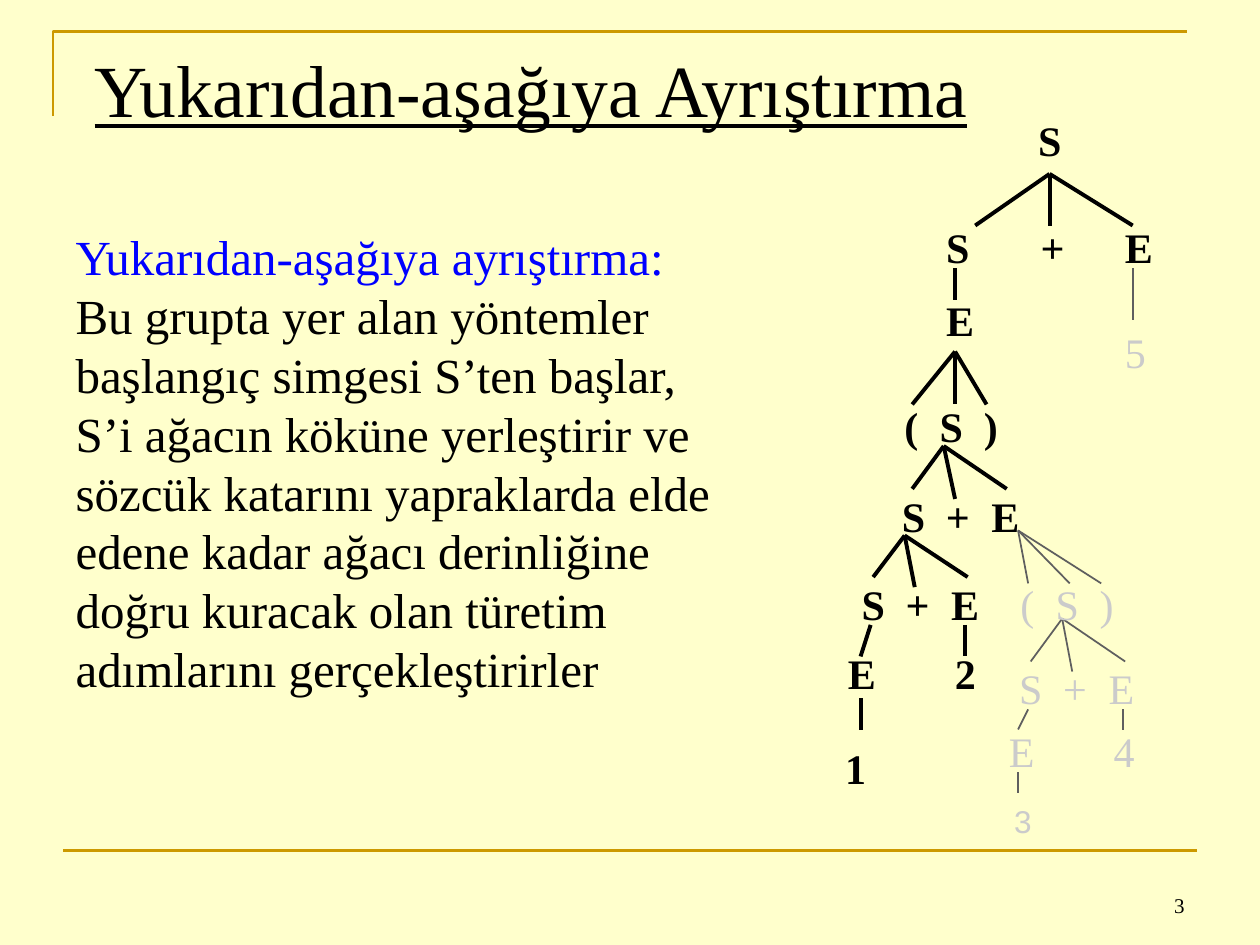
"""Build a slide on top-down parsing with its partly grown parse tree."""
from lxml import etree
from pptx import Presentation
from pptx.dml.color import RGBColor
from pptx.enum.shapes import MSO_CONNECTOR
from pptx.enum.text import MSO_ANCHOR, MSO_AUTO_SIZE, PP_ALIGN
from pptx.oxml.ns import qn
from pptx.util import Inches, Pt

STRAIGHT = MSO_CONNECTOR.STRAIGHT
LEFT, RIGHT = PP_ALIGN.LEFT, PP_ALIGN.RIGHT
TOP, BOTTOM = MSO_ANCHOR.TOP, MSO_ANCHOR.BOTTOM
FIXED = MSO_AUTO_SIZE.NONE

COLORS = {
    "paper": "FFFFCC", "rule": "CC9900", "ink": "000000", "term": "0000FF",
    "pending": "CBCBCB", "pending_branch": "5F5F5F",
}
SERIF = "Times New Roman"
TITLE = {"name": SERIF, "size": Pt(42), "underline": True}
BODY = {"name": SERIF, "size": Pt(28)}
NUMBER = {"name": SERIF, "size": Pt(12)}
GROWN = {"name": SERIF, "size": Pt(24), "bold": True}
PENDING = {"name": SERIF, "size": Pt(24), "bold": False}
LAST_LEAF = {"name": "Arial", "size": Pt(18), "bold": False}

PARENTHESES, SUM = "(\tS\t)", "S\t+\tE"
TAB_STOPS = {PARENTHESES: (0.28, 0.63), SUM: (0.35, 0.71)}

GROWN_NODES = [
    ("S", 8.14, 0.86, 0.4),
    ("S", 7.41, 1.71, 0.38), ("+", 8.16, 1.71, 0.39), ("E", 8.83, 1.71, 0.42),
    ("E", 7.41, 2.29, 0.42),
    (PARENTHESES, 7.08, 3.13, 0.94),
    (SUM, 7.06, 3.84, 1.13),
    (SUM, 6.74, 4.54, 1.13),
    ("E", 6.63, 5.09, 0.42), ("2", 7.48, 5.09, 0.36),
    ("1", 6.61, 5.84, 0.36),
]
PENDING_NODES = [
    ("5", 8.83, 2.54, 0.36),
    (PARENTHESES, 8, 4.54, 0.94),
    (SUM, 7.99, 5.21, 1.13),
    ("E", 7.91, 5.71, 0.4), ("4", 8.74, 5.71, 0.36),
]
GROWN_BRANCHES = [
    ((8.33, 1.38), [(7.74, 1.79), (8.33, 1.79), (8.99, 1.79)]),
    ((7.58, 2.13), [(7.58, 2.38)]),
    ((7.58, 2.79), [(7.24, 3.21), (7.58, 3.21), (7.83, 3.21)]),
    ((7.49, 3.54), [(7.24, 3.88), (7.58, 3.96), (7.99, 3.88)]),
    ((7.18, 4.25), [(6.93, 4.58), (7.26, 4.66), (7.68, 4.58)]),
    ((6.91, 4.96), [(6.83, 5.21)]),
    ((7.66, 4.96), [(7.66, 5.21)]),
    ((6.83, 5.54), [(6.83, 5.79)]),
]
PENDING_BRANCHES = [
    ((8.99, 2.13), [(8.99, 2.54)]),
    ((8.08, 4.21), [(8.16, 4.63), (8.49, 4.63), (8.74, 4.63)]),
    ((8.43, 4.91), [(8.18, 5.25), (8.51, 5.33), (8.93, 5.25)]),
    ((8.16, 5.63), [(8.08, 5.79)]),
    ((8.91, 5.63), [(8.91, 5.79)]),
    ((8.08, 6.13), [(8.08, 6.29)]),
]
TERM = "Yukarıdan-aşağıya ayrıştırma: "
EXPLANATION = (
    "Bu grupta yer alan yöntemler başlangıç simgesi S’ten başlar, S’i ağacın "
    "köküne yerleştirir ve sözcük katarını yapraklarda elde edene kadar ağacı "
    "derinliğine doğru kuracak olan türetim adımlarını gerçekleştirirler"
)


def rgb(color):
    """Return the named colour."""
    return RGBColor.from_string(COLORS[color])


def add_run(paragraph, text, style, color="ink"):
    """Append text in the given style and colour."""
    run = paragraph.add_run()
    run.text = text
    for attribute, value in style.items():
        setattr(run.font, attribute, value)
    run.font.color.rgb = rgb(color)


def set_tabs(paragraph, stops):
    """Give the paragraph left tab stops at the given inches."""
    tabs = etree.SubElement(paragraph._p.get_or_add_pPr(), qn("a:tabLst"))
    for stop in stops:
        etree.SubElement(tabs, qn("a:tab"), pos=str(Inches(stop)), algn="l")


def place(placeholder, left, top, width, height):
    """Move a placeholder and return its first paragraph, left aligned."""
    bounds = {"left": left, "top": top, "width": width, "height": height}
    for attribute, value in bounds.items():
        setattr(placeholder, attribute, Inches(value))
    frame = placeholder.text_frame
    layout = {"auto_size": FIXED, "word_wrap": True, "vertical_anchor": TOP}
    for attribute, value in layout.items():
        setattr(frame, attribute, value)
    paragraph = frame.paragraphs[0]
    paragraph.alignment = LEFT
    paragraph.space_before = Pt(0)
    return paragraph


def add_title(slide):
    """Fill the title placeholder."""
    paragraph = place(slide.shapes.title, 0.5, 0.3, 9, 1.25)
    slide.shapes.title.text_frame.margin_left = Inches(0.25)
    add_run(paragraph, "Yukarıdan-aşağıya Ayrıştırma", TITLE)


def add_body(slide):
    """Fill the body placeholder with the unbulleted definition."""
    paragraph = place(slide.placeholders[1], 0.5, 1.75, 5.28, 6.06)
    properties = paragraph._p.get_or_add_pPr()
    properties.set("marL", "0")
    properties.set("indent", "0")
    etree.SubElement(properties, qn("a:buNone"))
    add_run(paragraph, TERM, BODY, "term")
    add_run(paragraph, EXPLANATION, BODY)


def add_line(slide, start, end, color, width):
    """Draw a straight line without shadow."""
    points = [Inches(value) for value in (*start, *end)]
    line = slide.shapes.add_connector(STRAIGHT, *points)
    line.line.color.rgb = rgb(color)
    line.line.width = Pt(width)
    etree.SubElement(line._element.spPr, qn("a:effectLst"))


def add_frame(slide):
    """Draw the corner rule above and the straight rule below."""
    builder = slide.shapes.build_freeform(Inches(0.42), Inches(0.92))
    corner_points = [(0.42, 0.25), (9.42, 0.25)]
    builder.add_line_segments(
        [(Inches(x), Inches(y)) for x, y in corner_points], close=False)
    corner = builder.convert_to_shape()
    corner.shadow.inherit = False
    corner.fill.background()
    corner.line.color.rgb = rgb("rule")
    corner.line.width = Pt(1.5)
    add_line(slide, (0.5, 6.75), (9.5, 6.75), "rule", 1.5)


def add_node(slide, symbols, left, top, width, style, color, height=0.5):
    """Write one node or one row of sibling symbols of the tree."""
    bounds = [Inches(value) for value in (left, top, width, height)]
    frame = slide.shapes.add_textbox(*bounds).text_frame
    frame.word_wrap = False
    paragraph = frame.paragraphs[0]
    if symbols in TAB_STOPS:
        set_tabs(paragraph, TAB_STOPS[symbols])
    add_run(paragraph, symbols, style, color)


def add_tree(slide, nodes, branches, style, color, branch_color, width):
    """Draw the branches and nodes that share one look."""
    for parent, children in branches:
        for child in children:
            add_line(slide, parent, child, branch_color, width)
    for node in nodes:
        add_node(slide, *node, style, color)


def add_slide_number(slide):
    """Write the slide number at the lower right."""
    bounds = [Inches(value) for value in (7.17, 6.83, 2.33, 0.5)]
    frame = slide.shapes.add_textbox(*bounds).text_frame
    frame.word_wrap = True
    frame.vertical_anchor = BOTTOM
    frame.paragraphs[0].alignment = RIGHT
    add_run(frame.paragraphs[0], "3", NUMBER)


def main():
    """Build and save the presentation."""
    deck = Presentation()
    deck.slide_width, deck.slide_height = Inches(10), Inches(7.5)
    slide = deck.slides.add_slide(deck.slide_layouts[1])
    slide.background.fill.solid()
    slide.background.fill.fore_color.rgb = rgb("paper")
    add_frame(slide)
    add_title(slide)
    add_body(slide)
    add_tree(slide, GROWN_NODES, GROWN_BRANCHES, GROWN, "ink", "ink", 2.25)
    add_tree(slide, PENDING_NODES, PENDING_BRANCHES, PENDING,
             "pending", "pending_branch", 1)
    add_node(slide, "3", 7.95, 6.32, 0.34, LAST_LEAF, "pending", 0.4)
    add_slide_number(slide)
    deck.save("out.pptx")


if __name__ == "__main__":
    main()
